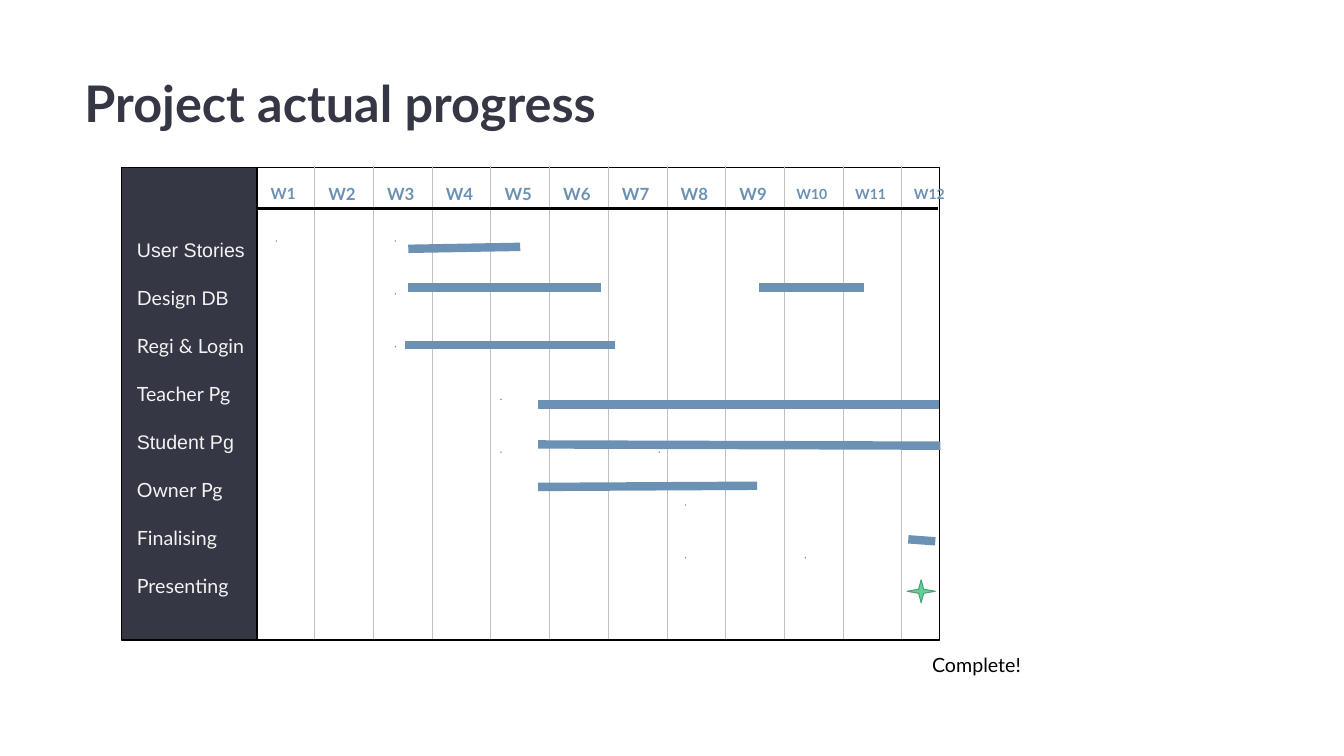
from dataclasses import dataclass
from pptx import Presentation
from pptx.dml.color import RGBColor
from pptx.enum.shapes import MSO_CONNECTOR, MSO_SHAPE
from pptx.enum.text import MSO_ANCHOR, PP_ALIGN
from pptx.oxml import parse_xml
from pptx.shapes.autoshape import Shape
from pptx.util import Cm, Pt

HUES = {
    "dark": "353744", "blue": "6B92B5", "pale": "F3F3F3", "white": "FFFFFF",
    "black": "000000", "grid": "C0C0C0", "green": "63D297", "rim": "4BA173",
}
NS = "http://schemas.openxmlformats.org/drawingml/2006/main"
TOP, HIGH, LEFT, WIDE = 4.22, 11.91, 6.48, 17.2
STEP, CELL = 1.48, 1.32


@dataclass
class Box:
    left: float
    top: float
    width: float
    height: float


@dataclass
class Rule:
    x: float
    y: float
    end: float
    low: float


TASKS = [
    [("User Stories", "Arial")],
    [("Design ", "Lato"), ("DB", "Arial")],
    [("Regi & Login", "Lato")],
    [("Teacher Pg", "Lato")],
    [("Student Pg", "Arial")],
    [("Owner Pg", "Lato")],
    [("Finalising", "Lato")],
    [("Presenting", "Lato")],
]
BARS = [
    Rule(19.13, 7.24, 21.77, 7.24),
    Rule(10.21, 8.69, 15.49, 8.69),
    Rule(10.29, 6.27, 13.11, 6.22),
    Rule(10.29, 7.24, 15.14, 7.24),
    Rule(13.56, 10.19, 23.67, 10.19),
    Rule(13.56, 11.2, 23.7, 11.23),
    Rule(13.56, 12.27, 19.08, 12.24),
    Rule(22.89, 13.59, 23.57, 13.64),
]
DOTS = [
    (6.96, 0), (9.96, 0), (9.96, 1), (9.96, 2), (12.62, 3),
    (12.62, 4), (16.61, 4), (17.27, 5), (17.27, 6), (20.29, 6),
]

deck = Presentation()
deck.slide_width, deck.slide_height = Cm(33.87), Cm(19.05)
slide = deck.slides.add_slide(deck.slide_layouts[6])


def hue(name: str) -> RGBColor:
    return RGBColor.from_string(HUES[name])


def edges(box: Box) -> tuple:
    return Cm(box.left), Cm(box.top), Cm(box.width), Cm(box.height)


def form(kind: MSO_SHAPE, box: Box, fill: str, line: str, weight: float) -> Shape:
    item = slide.shapes.add_shape(kind, *edges(box))
    item.shadow.inherit = False
    item.fill.solid()
    item.fill.fore_color.rgb = hue(fill)
    item.line.color.rgb = hue(line)
    item.line.width = Pt(weight)
    return item


def write(item: Shape, rows: list, *, size: float, color: str, bold: bool = False,
          align: PP_ALIGN = PP_ALIGN.LEFT, anchor: MSO_ANCHOR = MSO_ANCHOR.TOP,
          side: float = 0.25, head: float = 0.13, gap: float = 0) -> None:
    frame = item.text_frame
    frame.word_wrap = True
    frame.vertical_anchor = anchor
    frame.margin_left = frame.margin_right = Cm(side)
    frame.margin_top = frame.margin_bottom = Cm(head)
    for index, row in enumerate(rows):
        para = frame.add_paragraph() if index else frame.paragraphs[0]
        para.alignment = align
        para.space_before = Pt(gap if index else 0)
        for words, face in row:
            run = para.add_run()
            run.text = words
            run.font.name = face
            run.font.size = Pt(size)
            run.font.bold = bold
            run.font.color.rgb = hue(color)


def label(words: str, box: Box, **style) -> None:
    write(slide.shapes.add_textbox(*edges(box)), [[(words, "Lato")]], **style)


def draw(rule: Rule, color: str, weight: float) -> None:
    line = slide.shapes.add_connector(
        MSO_CONNECTOR.STRAIGHT, Cm(rule.x), Cm(rule.y), Cm(rule.end), Cm(rule.low))
    line.line.color.rgb = hue(color)
    line.line.width = Pt(weight)
    line._element.spPr.append(parse_xml(f'<a:effectLst xmlns:a="{NS}"/>'))


def build() -> None:
    label("Project actual progress", Box(1.88, 1.7, 23.88, 3.66),
          size=36, color="dark", bold=True)
    panel = form(MSO_SHAPE.RECTANGLE, Box(3.07, TOP, 3.96, HIGH), "dark", "black", 1)
    write(panel, TASKS, size=14, color="pale", side=0.38, head=1.78, gap=17.5)
    form(MSO_SHAPE.RECTANGLE, Box(LEFT, TOP, WIDE, HIGH), "white", "black", 1)
    for week in range(1, 13):
        x = LEFT + (week - 1) * STEP
        size = 11 if week == 1 else 12 if week < 10 else 10
        label(f"W{week}", Box(x, TOP, CELL, CELL), size=size, color="blue", bold=True,
              align=PP_ALIGN.CENTER, anchor=MSO_ANCHOR.MIDDLE, side=0)
        if week > 1:
            draw(Rule(x - 0.03, 4.19, x - 0.03, 16.1), "grid", 0.75)
    label("Complete!", Box(23.24, 16.33, 3.96, CELL), size=14, color="black")
    for x, row in DOTS:
        form(MSO_SHAPE.OVAL, Box(x, 6.07 + row * 1.33, 0.01, 0.01), "blue", "blue", 0.75)
    draw(Rule(6.45, 5.26, 23.65, 5.26), "black", 2)
    for bar in BARS:
        draw(bar, "blue", 6)
    star = form(MSO_SHAPE.STAR_4_POINT, Box(22.86, 14.61, 0.71, 0.58), "green", "rim", 0.75)
    star.adjustments[0] = 0.125


if __name__ == "__main__":
    build()
    deck.save("out.pptx")
